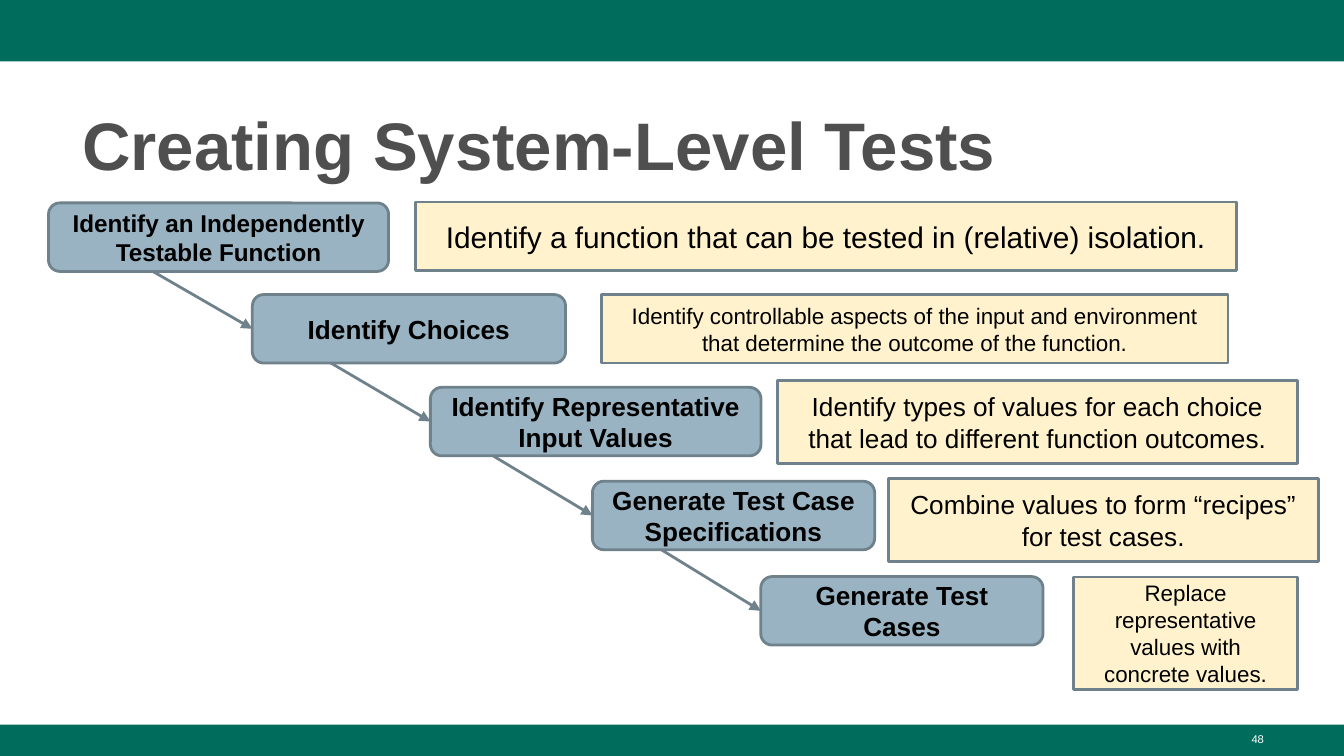
from lxml import etree
from pptx import Presentation
from pptx.dml.color import RGBColor
from pptx.enum.shapes import MSO_CONNECTOR, MSO_SHAPE
from pptx.enum.text import MSO_ANCHOR, MSO_AUTO_SIZE, PP_ALIGN
from pptx.oxml.ns import qn
from pptx.util import Pt

RECTANGLE, ROUNDED = MSO_SHAPE.RECTANGLE, MSO_SHAPE.ROUNDED_RECTANGLE
STRAIGHT = MSO_CONNECTOR.STRAIGHT
TOP, MIDDLE = MSO_ANCHOR.TOP, MSO_ANCHOR.MIDDLE
LEFT, CENTER, RIGHT = PP_ALIGN.LEFT, PP_ALIGN.CENTER, PP_ALIGN.RIGHT
NO_FIT = MSO_AUTO_SIZE.NONE

GREEN = RGBColor(0x00, 0x6C, 0x5C)
GREY = RGBColor(0x4F, 0x4F, 0x4F)
BLUE = RGBColor(0x99, 0xB3, 0xC2)
CREAM = RGBColor(0xFF, 0xF2, 0xCC)
SLATE = RGBColor(0x6F, 0x82, 0x8C)
BLACK = RGBColor(0x00, 0x00, 0x00)
WHITE = RGBColor(0xFF, 0xFF, 0xFF)

PAGE_WIDTH, PAGE_HEIGHT = 720, 405
TITLE_ONLY = 5
STEP_HEIGHT = 36.7
ARROW_RUN = 53.3
OUTLINE = 1.5

STAGES = [
    ("Identify an Independently Testable Function", 13, (26, 108.7, 182.2),
     "Identify a function that can be tested in (relative) isolation.", 16,
     (222.5, 108.2, 439.9, 36.7)),
    ("Identify Choices", 14, (135.2, 157.8, 167.8),
     "Identify controllable aspects of the input and environment "
     "that determine the outcome of the function.", 12,
     (322.4, 157.8, 335.5, 36.7)),
    ("Identify Representative Input Values", 14, (230.6, 207.5, 177.1),
     "Identify types of values for each choice "
     "that lead to different function outcomes.", 14,
     (416.4, 203.8, 278.8, 44.6)),
    ("Generate Test Case Specifications", 14, (317.4, 257.8, 151.2),
     "Combine values to form “recipes” for test cases.", 14,
     (475.9, 256.4, 230.4, 44.6)),
    ("Generate Test Cases", 14, (407.6, 308.9, 151.2),
     "Replace representative values with concrete values.", 12,
     (575.2, 309.1, 120, 60.3)),
]


def write_text(shape, text, size, color, bold=False, align=CENTER,
               anchor=MIDDLE, inset=7.2):
    """Fill a shape with one formatted paragraph."""
    frame = shape.text_frame
    frame.text = text
    para = frame.paragraphs[0]
    para.alignment = align
    para.font.color.rgb = color
    frame_format = {
        "word_wrap": True, "auto_size": NO_FIT, "vertical_anchor": anchor,
        "margin_left": Pt(7.2), "margin_right": Pt(7.2),
        "margin_top": Pt(inset), "margin_bottom": Pt(inset),
    }
    font_format = {"name": "Arial", "size": Pt(size), "bold": bold}
    for target, values in ((frame, frame_format), (para.font, font_format)):
        for name, value in values.items():
            setattr(target, name, value)
    return para


def add_box(page, box, kind, fill, line=None):
    """Draw a filled shape, outlined when a line colour is given."""
    shape = page.shapes.add_shape(kind, *map(Pt, box))
    shape.shadow.inherit = False
    shape.fill.solid()
    shape.fill.fore_color.rgb = fill
    if line is None:
        shape.line.fill.background()
    else:
        shape.line.color.rgb = line
        shape.line.width = Pt(OUTLINE)
    return shape


def add_arrow(page, start, end):
    """Draw a straight arrow between two points."""
    arrow = page.shapes.add_connector(STRAIGHT, *map(Pt, (*start, *end)))
    arrow.line.color.rgb = SLATE
    arrow.line.width = Pt(OUTLINE)
    properties = arrow.line._get_or_add_ln()
    etree.SubElement(properties, qn("a:tailEnd"), type="triangle")
    etree.SubElement(arrow._element.spPr, qn("a:effectLst"))


def add_title(page, box, text):
    """Place and format the title placeholder."""
    title = page.shapes.title
    title.left, title.top, title.width, title.height = map(Pt, box)
    para = write_text(title, text, 36, GREY, True, LEFT, TOP, 3.6)
    para.line_spacing = 1.08


def add_page_number(page, box, number):
    """Write the page number at the right of its box."""
    label = page.shapes.add_textbox(*map(Pt, box))
    write_text(label, number, 6, WHITE, False, RIGHT, TOP, 3.6)


def add_staircase(page, stages):
    """Draw the descending steps, the arrows between them and their notes."""
    for index, (step, step_size, (left, top, width), *_) in enumerate(stages):
        shape = add_box(page, (left, top, width, STEP_HEIGHT), ROUNDED, BLUE, SLATE)
        write_text(shape, step, step_size, BLACK, True)
        if index:
            previous_top = stages[index - 1][2][1]
            add_arrow(page, (left - ARROW_RUN, previous_top + STEP_HEIGHT),
                      (left, top + STEP_HEIGHT / 2))
    for *_, note, note_size, box in stages:
        write_text(add_box(page, box, RECTANGLE, CREAM, SLATE), note, note_size, BLACK)


def main():
    """Build and save the deck."""
    deck = Presentation()
    deck.slide_width, deck.slide_height = Pt(PAGE_WIDTH), Pt(PAGE_HEIGHT)
    page = deck.slides.add_slide(deck.slide_layouts[TITLE_ONLY])
    for top, height in ((0, 33), (388.2, 16.8)):
        add_box(page, (0, top, PAGE_WIDTH, height), RECTANGLE, GREEN)
    add_title(page, (36.8, 48.2, 647.2, 52.6), "Creating System-Level Tests")
    add_staircase(page, STAGES)
    add_page_number(page, (516.2, 388.6, 168, 16.4), "48")
    deck.save("out.pptx")


if __name__ == "__main__":
    main()
